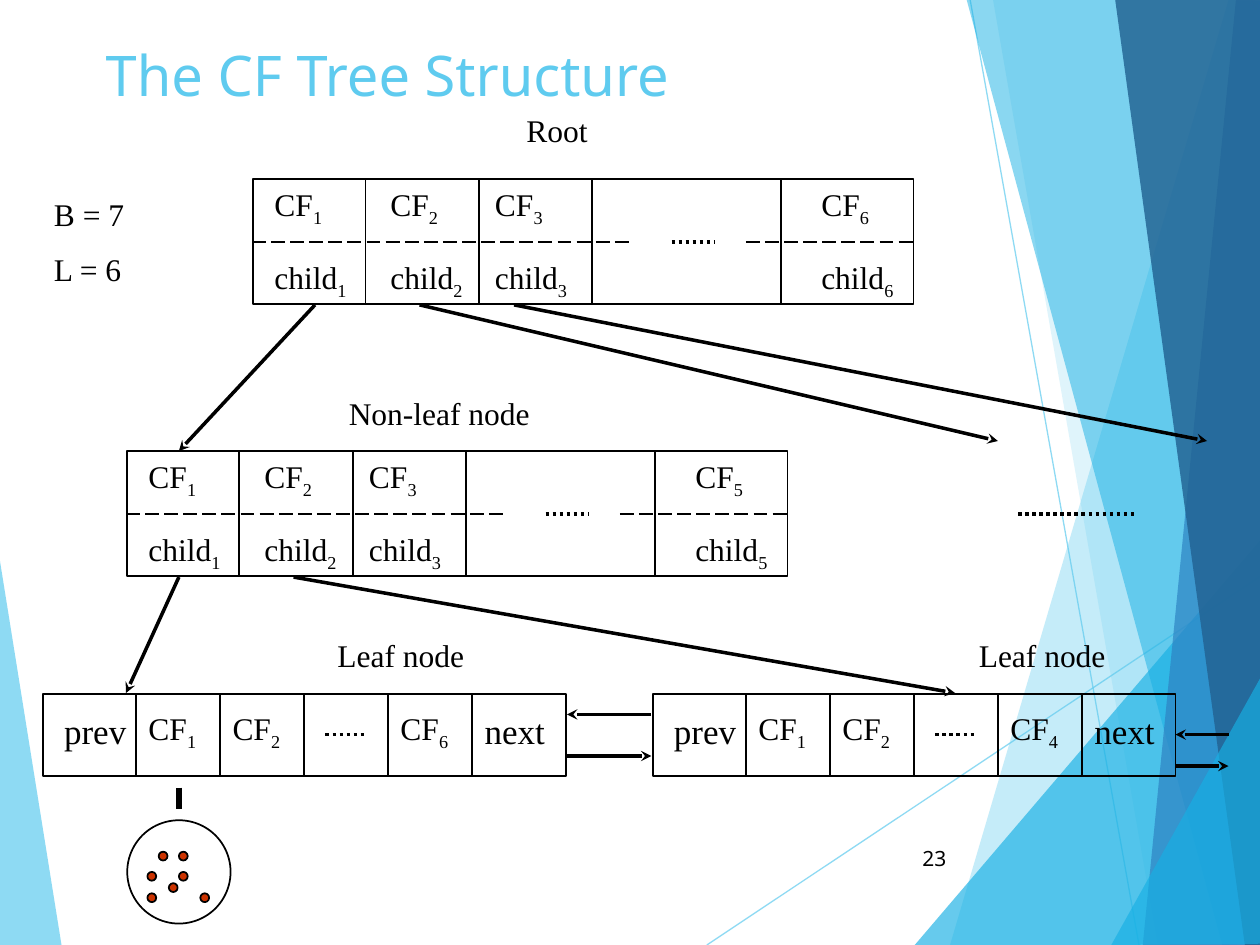
import pptx
import pptx.util
import pptx.oxml
import pptx.oxml.ns
import pptx.dml.color
import pptx.enum.dml
import pptx.enum.shapes
import pptx.enum.text

COLOURS = {"sky": "5FCBEF", "cyan": "17B0E4", "blue": "2E83C3", "navy": "226292",
           "ink": "000000", "point": "CC3300"}
SERIF, SANS = "Times New Roman", "Noto Sans"
LONG_DASH = pptx.enum.dml.MSO_LINE.LONG_DASH
DOTS = pptx.enum.dml.MSO_LINE.ROUND_DOT
SHAPE = pptx.enum.shapes.MSO_SHAPE

# Positions are in inches; size() turns them into lengths.
# Background facets: colour, opacity in percent, corners
LEFT_FACET = ("sky", 70, [(-0.01, 4.39), (0.49, 7.51), (-0.01, 7.5)])
RIGHT_FACETS = [
    ("sky", 36, [(9.75, 0), (7.54, 7.5), (10.02, 7.51), (10.01, 0.01)]),
    ("sky", 20, [(7.88, -0.01), (9.19, 7.5), (10.01, 7.5), (10.01, -0.01)]),
    ("cyan", 66, [(7.26, 7.5), (10, 4.29), (10.01, 7.5)]),
    ("cyan", 50, [(7.67, -0.01), (9.7, 7.5), (10.01, 7.49), (10.01, -0.01)]),
    ("blue", 70, [(9.81, -0.01), (9.07, 7.5), (10.01, 7.5), (10, -0.01)]),
    ("navy", 82, [(8.85, -0.01), (9.88, 7.5), (10.02, 7.5), (10, -0.01)]),
    ("cyan", 66, [(8.82, 7.5), (10.02, 5.35), (10.02, 7.49)]),
]
RAYS = [(5.61, 7.5, 10.01, 4.57), (7.7, 0, 9.04, 7.5)]

# Tree nodes: left, top, index of the last entry
INNER_NODES = [(2, 1.42, 6), (1, 3.58, 5)]
LEAF_NODES = [(0.33, 5.5, 6), (5.17, 5.5, 4)]
LABELS = [("Root", 4.08, 0.83, 1.08), ("Non-leaf node", 2.67, 3.08, 2.17),
          ("Leaf node", 2.58, 5, 1.58), ("Leaf node", 7.67, 5, 1.58)]
PARAMETERS = ["B = 7", "L = 6"]
ARROWS = [
    (2.5, 2.42, 1.42, 3.58), (3.33, 2.42, 7.92, 3.5), (4.08, 2.42, 9.58, 3.5),
    (1.42, 4.58, 1, 5.5), (2.33, 4.58, 7.58, 5.5),
    (5.17, 5.67, 4.5, 5.67), (4.5, 6, 5.17, 6),
    (9.33, 6.08, 9.75, 6.08), (9.75, 5.83, 9.33, 5.83),
]
POINTS = [(1.26, 6.76), (1.42, 6.92), (1.42, 6.76), (1.17, 7.09),
          (1.17, 6.92), (1.34, 7.01), (1.59, 7.09)]

prs = pptx.Presentation()


def size(inches):
    """Length for a position on the slide."""
    return pptx.util.Cm(inches * 2.54)


def rgb(name):
    """Colour by its name."""
    return pptx.dml.color.RGBColor.from_string(COLOURS[name])


def add_xml(parent, tag, **attributes):
    """Append a DrawingML element."""
    element = pptx.oxml.parse_xml("<%s %s/>" % (tag, pptx.oxml.ns.nsdecls("a")))
    for key, value in attributes.items():
        element.set(key, value)
    parent.append(element)


def set_opacity(fill_parent, percent):
    """Make the solid colour under an element translucent."""
    colour = fill_parent.find(".//" + pptx.oxml.ns.qn("a:srgbClr"))
    add_xml(colour, "a:alpha", val=str(percent * 1000))


def line(x1, y1, x2, y2, width=1, dash=None, colour="ink", opacity=None, arrow=False):
    """Draw a straight line, with an arrowhead at its end if asked."""
    sp = s.shapes.add_connector(pptx.enum.shapes.MSO_CONNECTOR.STRAIGHT,
                                size(x1), size(y1), size(x2), size(y2))
    sp.line.width = pptx.util.Pt(width)
    sp.line.color.rgb = rgb(colour)
    if dash:
        sp.line.dash_style = dash
    ln = sp.line._get_or_add_ln()
    if opacity:
        set_opacity(ln, opacity)
    if arrow:
        add_xml(ln, "a:tailEnd", type="stealth")
    add_xml(sp._element.spPr, "a:effectLst")


def shape(kind, x, y, w, h, fill=None):
    """Draw an outlined preset shape."""
    sp = s.shapes.add_shape(kind, size(x), size(y), size(w), size(h))
    sp.shadow.inherit = False
    sp.line.width = pptx.util.Pt(1)
    sp.line.color.rgb = rgb("ink")
    if fill:
        sp.fill.solid()
        sp.fill.fore_color.rgb = rgb(fill)
    else:
        sp.fill.background()


def facet(colour, opacity, corners):
    """Draw one translucent polygon of the background."""
    first, *rest = [(size(x), size(y)) for x, y in corners]
    builder = s.shapes.build_freeform(*first)
    builder.add_line_segments(rest, close=True)
    sp = builder.convert_to_shape()
    sp.shadow.inherit = False
    sp.line.fill.background()
    sp.fill.solid()
    sp.fill.fore_color.rgb = rgb(colour)
    set_opacity(sp._element.spPr, opacity)


def text(lines, x, y, w, h, pt=18, index=None, font=SERIF, colour="ink",
         middle=False, right=False):
    """Write paragraphs, the last with an optional subscript index."""
    tf = s.shapes.add_textbox(size(x), size(y), size(w), size(h)).text_frame
    tf.word_wrap = True
    if middle:
        tf.vertical_anchor = pptx.enum.text.MSO_ANCHOR.MIDDLE
    tf.text = "\n".join(lines)
    if index is not None:
        r = tf.paragraphs[-1].add_run()
        r.text = str(index)
        r._r.get_or_add_rPr().set("baseline", "-25000")
    for number, p in enumerate(tf.paragraphs):
        if number:
            p.space_before = pptx.util.Pt(10)
        if right:
            p.alignment = pptx.enum.text.PP_ALIGN.RIGHT
        for r in p.runs:
            r.font.size = pptx.util.Pt(pt)
            r.font.name = font
            r.font.color.rgb = rgb(colour)


def inner_node(x, y, last):
    """Draw a node of CF entries above their child pointers."""
    shape(SHAPE.RECTANGLE, x + 0.01, y, 5.24, 0.99)
    for dx in (0.9, 1.8, 2.7, 4.2):
        line(x + dx, y, x + dx, y + 1)
    for start, end in ((0, 3), (3.92, 5.25)):
        line(x + start, y + 0.5, x + end, y + 0.5, dash=LONG_DASH)
    line(x + 3.33, y + 0.5, x + 3.67, y + 0.5, 2, DOTS)
    for dx, index in zip((0.08, 1, 1.83, 4.42), (1, 2, 3, last)):
        text(["CF"], x + dx, y, 0.75, 0.5, index=index)
        text(["child"], x + dx, y + 0.58, 1, 0.4, index=index)


def leaf_node(x, y, last):
    """Draw a leaf with its entries between prev and next."""
    cells = [x + 0.75 + k * 2 / 3 for k in range(5)]
    shape(SHAPE.RECTANGLE, x + 0.01, y + 0.01, 4.15, 0.65)
    for left in cells:
        line(left, y, left, y + 0.67)
    for left, index in zip((cells[0], cells[1], cells[3]), (1, 2, last)):
        text(["CF"], left, y + 0.08, 0.75, 0.5, index=index)
    line(cells[2] + 0.17, y + 0.33, cells[2] + 0.5, y + 0.33, 2, DOTS)
    for word, left in (("prev", x + 0.08), ("next", cells[4])):
        text([word], left, y + 0.08, 0.75, 0.43, pt=20)


prs.slide_width, prs.slide_height = size(10), size(7.5)
s = prs.slides.add_slide(prs.slide_layouts[6])

facet(*LEFT_FACET)
for ray in RAYS:
    line(*ray, width=0.75, colour="sky", opacity=70)
for item in RIGHT_FACETS:
    facet(*item)

text(["The CF Tree Structure"], 0.74, 0.25, 8.26, 0.67, 32,
     font=SANS, colour="sky", middle=True)
text(["23"], 7.05, 6.61, 0.56, 0.4, 12, font=SANS, middle=True, right=True)
text(PARAMETERS, 0.33, 1.5, 1.17, 1.1)
for label, left, top, width in LABELS:
    text([label], left, top, width, 0.5)

for node in INNER_NODES:
    inner_node(*node)
for node in LEAF_NODES:
    leaf_node(*node)
for arrow in ARROWS:
    line(*arrow, width=2, arrow=True)
line(8.08, 4.08, 9, 4.08, 2, DOTS)

for left, top in POINTS:
    shape(SHAPE.OVAL, left, top, 0.07, 0.07, "point")
shape(SHAPE.OVAL, 1.01, 6.51, 0.82, 0.82)
line(1.42, 6.25, 1.42, 6.42, 3)

prs.save("out.pptx")
